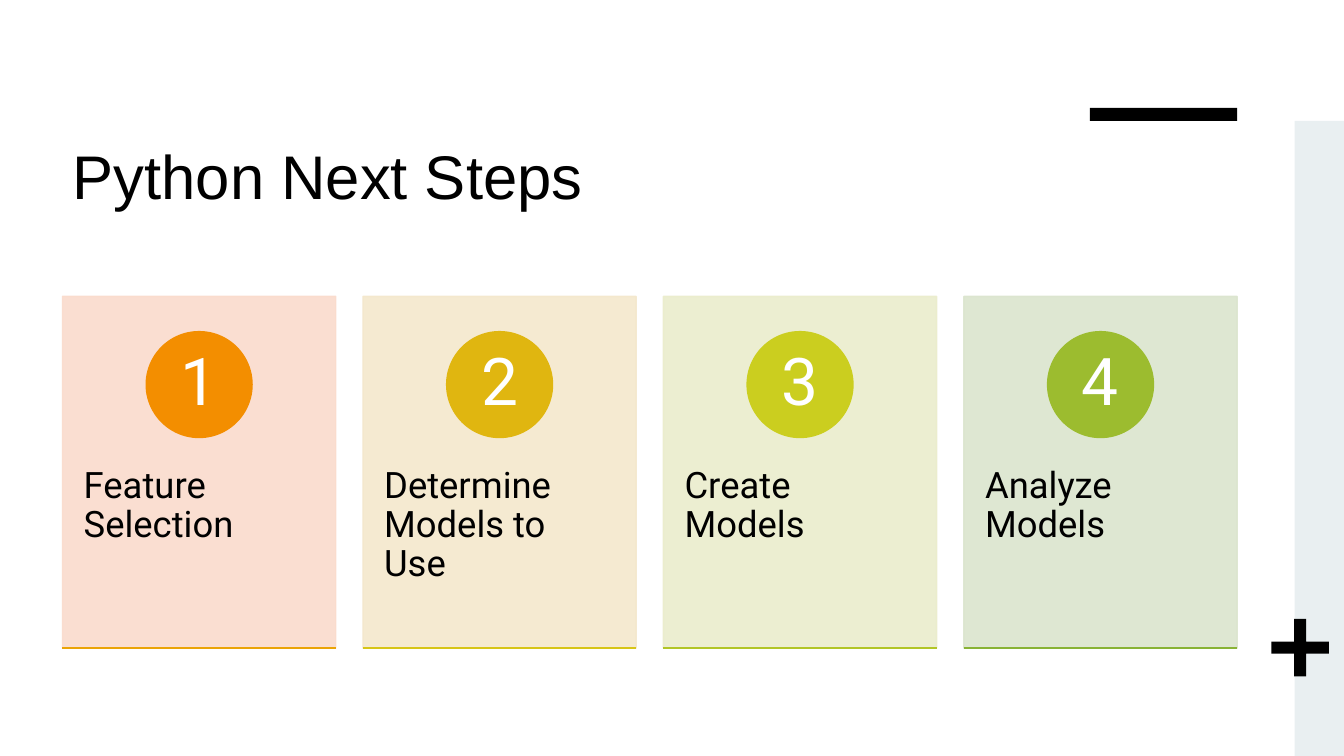
import pptx
import pptx.util
import pptx.dml.color
import pptx.enum.shapes
import pptx.enum.text
import pptx.oxml.ns
from lxml import etree

Inches = pptx.util.Inches
Pt = pptx.util.Pt
SHAPE = pptx.enum.shapes.MSO_SHAPE
ALIGN = pptx.enum.text.PP_ALIGN
ANCHOR = pptx.enum.text.MSO_ANCHOR
qn = pptx.oxml.ns.qn

COLORS = {
    "black": "000000",
    "white": "FFFFFF",
    "band": "E9EFF1",
    "cards": ["FADBCC", "F4E8CC", "EBEDCC", "DBE5CE"],
    "circles": ["F38E00", "E0B610", "CBCE1F", "9CBC2F"],
    "rules": ["EAA408", "D7C518", "B2C527", "89B336"],
}
STEPS = ["Feature Selection", "Determine Models to Use", "Create Models", "Analyze Models"]


def rgb(color):
    """Turn a hex string into a colour."""
    return pptx.dml.color.RGBColor.from_string(color)


def add_block(s, kind, x, y, w, h, color, outlined=False):
    """Add a flat filled shape, with a line of the same colour if outlined."""
    sp = s.shapes.add_shape(kind, Inches(x), Inches(y), Inches(w), Inches(h))
    sp.shadow.inherit = False
    sp.fill.solid()
    sp.fill.fore_color.rgb = rgb(color)
    if outlined:
        sp.line.color.rgb = rgb(color)
        sp.line.width = Pt(1)
    else:
        sp.line.fill.background()
    return sp


def set_opacity(sp, percent):
    """Make the fill and line of a shape partly transparent."""
    for clr in sp._element.spPr.iter(qn("a:srgbClr")):
        etree.SubElement(clr, qn("a:alpha"), val=str(percent * 1000))


def add_label(s, x, y, w, h, text, size, color, margins, align, anchor):
    """Add a wrapped text box with one formatted paragraph."""
    tf = s.shapes.add_textbox(Inches(x), Inches(y), Inches(w), Inches(h)).text_frame
    tf.word_wrap = True
    tf.vertical_anchor = anchor
    tf.margin_left = tf.margin_right = Inches(margins[0])
    tf.margin_top = tf.margin_bottom = Inches(margins[1])
    p = tf.paragraphs[0]
    p.text = text
    p.alignment = align
    p.line_spacing = 0.9
    p.font.size = Pt(size)
    p.font.name = "Roboto"
    p.font.color.rgb = rgb(color)


def add_title(s, x, y, w, h, text):
    """Place and format the title placeholder."""
    title = s.shapes.title
    title.left, title.top, title.width, title.height = map(Inches, (x, y, w, h))
    tf = title.text_frame
    tf.text = text
    tf.word_wrap = True
    tf.vertical_anchor = ANCHOR.TOP
    p = tf.paragraphs[0]
    p.alignment = ALIGN.LEFT
    p.line_spacing = 1.0
    p.font.size = Pt(44)
    p.font.name = "Arial"
    p.font.color.rgb = rgb(COLORS["black"])


def add_decoration(s, x, y, w, h):
    """Draw the side band with its plus sign, and the bar to its left."""
    add_block(s, SHAPE.RECTANGLE, x, y, w, h, COLORS["band"])
    add_block(s, SHAPE.RECTANGLE, x - 2.03, y - 0.13, 1.46, 0.13, COLORS["black"])
    plus = add_block(s, SHAPE.CROSS, x - 0.23, y + 4.94, 0.57, 0.57, COLORS["black"])
    plus.adjustments[0] = 0.395


def add_card(s, x, y, w, h, index):
    """Draw one numbered step card with a coloured rule at its foot."""
    card = add_block(s, SHAPE.RECTANGLE, x, y, w, h, COLORS["cards"][index], True)
    set_opacity(card, 90)
    add_label(s, x, y + 1.33, w, 2.09, STEPS[index], 26, COLORS["black"],
              (0.21, 0.36), ALIGN.LEFT, ANCHOR.TOP)
    size, inner = 1.05, 0.74
    add_block(s, SHAPE.OVAL, x + (w - size) / 2, y + 0.35, size, size,
              COLORS["circles"][index], True)
    add_label(s, x + (w - inner) / 2, y + 0.35 + (size - inner) / 2, inner, inner,
              str(index + 1), 47, COLORS["white"], (0.08, 0.01), ALIGN.CENTER, ANCHOR.MIDDLE)
    rule = s.shapes.add_connector(pptx.enum.shapes.MSO_CONNECTOR.STRAIGHT,
                                  Inches(x), Inches(y + h), Inches(x + w), Inches(y + h))
    rule.line.color.rgb = rgb(COLORS["rules"][index])
    rule.line.width = Pt(1)
    etree.SubElement(rule._element.spPr, qn("a:effectLst"))


def add_cards(s, x, y, w, h, gap):
    """Spread the step cards evenly over the width."""
    count = len(STEPS)
    card_w = (w - gap * (count - 1)) / count
    for i in range(count):
        add_card(s, x + i * (card_w + gap), y, card_w, h, i)


def main():
    """Build the slide and save it."""
    prs = pptx.Presentation()
    prs.slide_width, prs.slide_height = Inches(13.33), Inches(7.5)
    s = prs.slides.add_slide(prs.slide_layouts[5])
    s.background.fill.solid()
    s.background.fill.fore_color.rgb = rgb(COLORS["white"])
    add_title(s, 0.62, 1.32, 9.04, 1.58, "Python Next Steps")
    add_decoration(s, 12.84, 1.2, 0.49, 6.3)
    add_cards(s, 0.62, 2.94, 11.65, 3.49, 0.27)
    prs.save("out.pptx")


if __name__ == "__main__":
    main()
